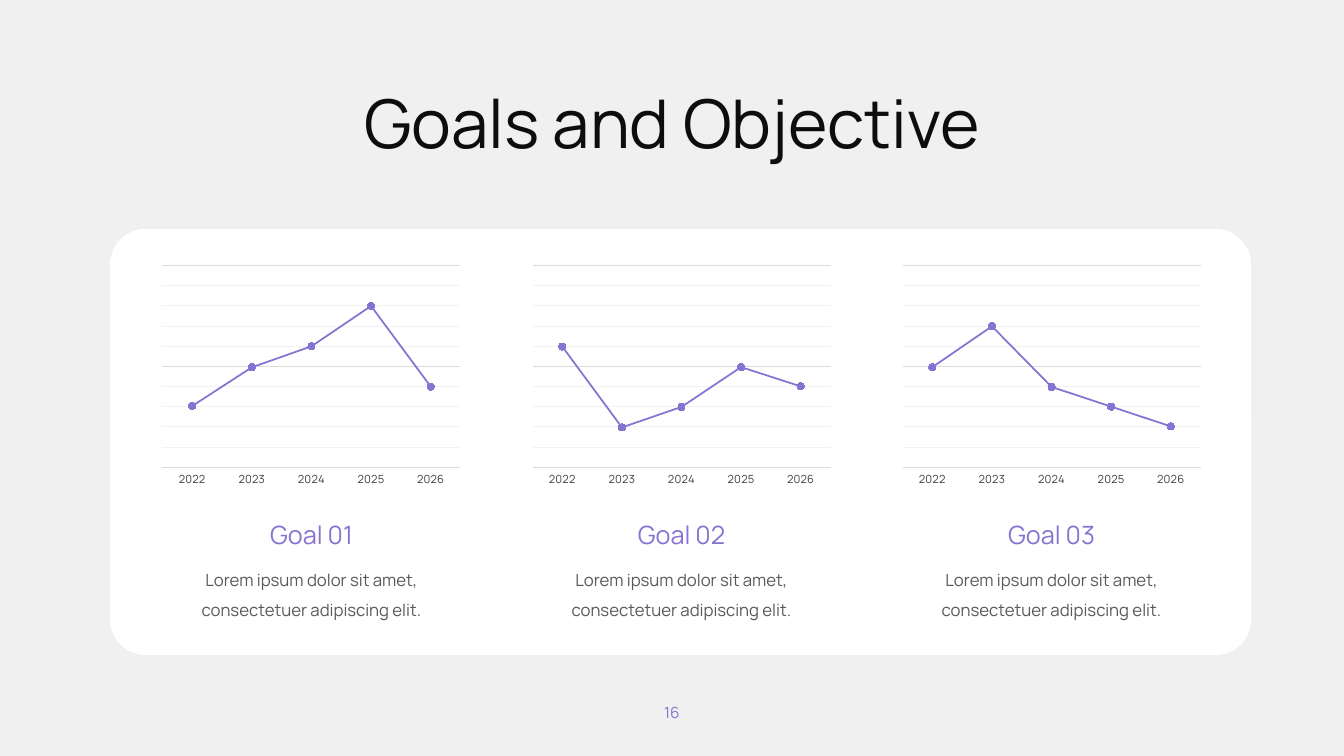
from copy import deepcopy

from lxml import etree
from pptx import Presentation
from pptx.chart.data import CategoryChartData
from pptx.dml.color import RGBColor
from pptx.enum.chart import XL_CHART_TYPE, XL_MARKER_STYLE, XL_TICK_LABEL_POSITION, XL_TICK_MARK
from pptx.enum.shapes import MSO_SHAPE
from pptx.enum.text import MSO_ANCHOR, MSO_AUTO_SIZE, PP_ALIGN
from pptx.oxml.ns import qn
from pptx.util import Emu, Pt

# Content
TITLE = "Goals and Objective"
PAGE_NUMBER = "16"
YEARS = ["2022", "2023", "2024", "2025", "2026"]
BODY = "Lorem ipsum dolor sit amet, consectetuer adipiscing elit."
GOALS = [
    # heading, values, top of the value axis
    ("Goal 01", (38, 62, 75, 100, 50), 125),
    ("Goal 02", (100, 33, 50, 83, 67), 167),
    ("Goal 03", (71, 100, 57, 43, 29), 143),
]

# Look, lengths in px at 100 px to the inch
COLORS = {
    "background": "F0F0F0", "card": "FFFFFF", "accent": "8773D1", "title": "0D0D0D",
    "body": "595959", "label": "404040", "grid": "DCDADA", "faint_grid": "F2F2F2",
}
FONT = "Manrope"
CHART_FONT = "Roboto"
PX = 9144
FIRST_CENTER, COLUMN_STEP = 309, 367
PLOT_LAYOUT = {"x": 0.02, "y": 0.02, "w": 0.96, "h": 0.87}


def px(*lengths):
    return [Emu(length * PX) for length in lengths]


def color(name):
    return RGBColor.from_string(COLORS[name])


def add_text(page, place, text, size, color_name, anchor=MSO_ANCHOR.TOP):
    box = page.shapes.add_textbox(*px(*place))
    frame = box.text_frame
    frame.word_wrap = True
    frame.auto_size = MSO_AUTO_SIZE.SHAPE_TO_FIT_TEXT
    frame.vertical_anchor = anchor
    para = frame.paragraphs[0]
    para.text = text
    para.alignment = PP_ALIGN.CENTER
    para.font.name = FONT
    para.font.size = Pt(size)
    para.font.color.rgb = color(color_name)
    return para


def style_line(line, color_name, width):
    line.color.rgb = color(color_name)
    line.width = Pt(width)


def set_plot_layout(chart):
    plot_area = chart.element.find(".//" + qn("c:plotArea"))
    for old_layout in plot_area.findall(qn("c:layout")):
        plot_area.remove(old_layout)
    layout = etree.Element(qn("c:layout"))
    manual = etree.SubElement(layout, qn("c:manualLayout"))
    settings = [("layoutTarget", "inner"), ("xMode", "edge"), ("yMode", "edge")]
    for tag, value in settings + list(PLOT_LAYOUT.items()):
        etree.SubElement(manual, qn("c:" + tag)).set("val", str(value))
    plot_area.insert(0, layout)


def style_minor_gridlines(chart):
    major = chart.element.find(".//" + qn("c:majorGridlines"))
    minor = chart.element.find(".//" + qn("c:minorGridlines"))
    properties = deepcopy(major.find(qn("c:spPr")))
    properties.find(".//" + qn("a:srgbClr")).set("val", COLORS["faint_grid"])
    minor.append(properties)


def add_goal_chart(page, place, values, top):
    data = CategoryChartData()
    data.categories = YEARS
    data.add_series("Series 1", values)
    chart = page.shapes.add_chart(XL_CHART_TYPE.LINE_MARKERS, *px(*place), data).chart
    chart.has_legend = False
    chart.has_title = False
    chart.font.name = CHART_FONT
    chart.font.size = Pt(8)
    chart.font.color.rgb = color("label")
    plot = chart.plots[0]
    plot.vary_by_categories = False
    set_plot_layout(chart)

    # Axes and gridlines
    years = chart.category_axis
    years.major_tick_mark = years.minor_tick_mark = XL_TICK_MARK.NONE
    years.tick_labels.font.name = FONT
    years.tick_labels.font.size = Pt(8)
    years.tick_labels.font.color.rgb = color("label")
    style_line(years.format.line, "grid", 0.75)
    scale = chart.value_axis
    scale.minimum_scale, scale.maximum_scale = 0, top
    scale.major_unit, scale.minor_unit = top / 2, top / 10
    scale.has_major_gridlines = scale.has_minor_gridlines = True
    style_line(scale.major_gridlines.format.line, "grid", 0.75)
    style_minor_gridlines(chart)
    scale.tick_label_position = XL_TICK_LABEL_POSITION.NONE
    scale.visible = False

    # Line and markers
    series = plot.series[0]
    series.smooth = False
    style_line(series.format.line, "accent", 1.25)
    series.marker.style = XL_MARKER_STYLE.CIRCLE
    series.marker.size = 5
    series.marker.format.fill.solid()
    series.marker.format.fill.fore_color.rgb = color("accent")
    style_line(series.marker.format.line, "accent", 0.75)


def main():
    deck = Presentation()
    deck.slide_width, deck.slide_height = px(1333, 750)
    page = deck.slides.add_slide(deck.slide_layouts[6])
    page.background.fill.solid()
    page.background.fill.fore_color.rgb = color("background")

    # Page number and card
    add_text(page, (620, 692, 93, 29), PAGE_NUMBER, 11, "accent", MSO_ANCHOR.MIDDLE)
    card = page.shapes.add_shape(MSO_SHAPE.ROUNDED_RECTANGLE, *px(109, 227, 1132, 423))
    card.adjustments[0] = 0.085
    card.shadow.inherit = False
    card.fill.solid()
    card.fill.fore_color.rgb = color("card")
    card.line.fill.background()

    # One column per goal
    for index, (heading, values, top) in enumerate(GOALS):
        center = FIRST_CENTER + index * COLUMN_STEP
        add_goal_chart(page, (center - 154, 259, 308, 230), values, top)
        add_text(page, (center - 106, 510, 212, 40), heading, 18, "accent")
        body = add_text(page, (center - 150, 550, 300, 67), BODY, 12, "body")
        body.line_spacing = 1.5
        body.space_before = Pt(8)

    # Title
    add_text(page, (75, 76, 1183, 91), TITLE, 48, "title")
    deck.save("out.pptx")


if __name__ == "__main__":
    main()
